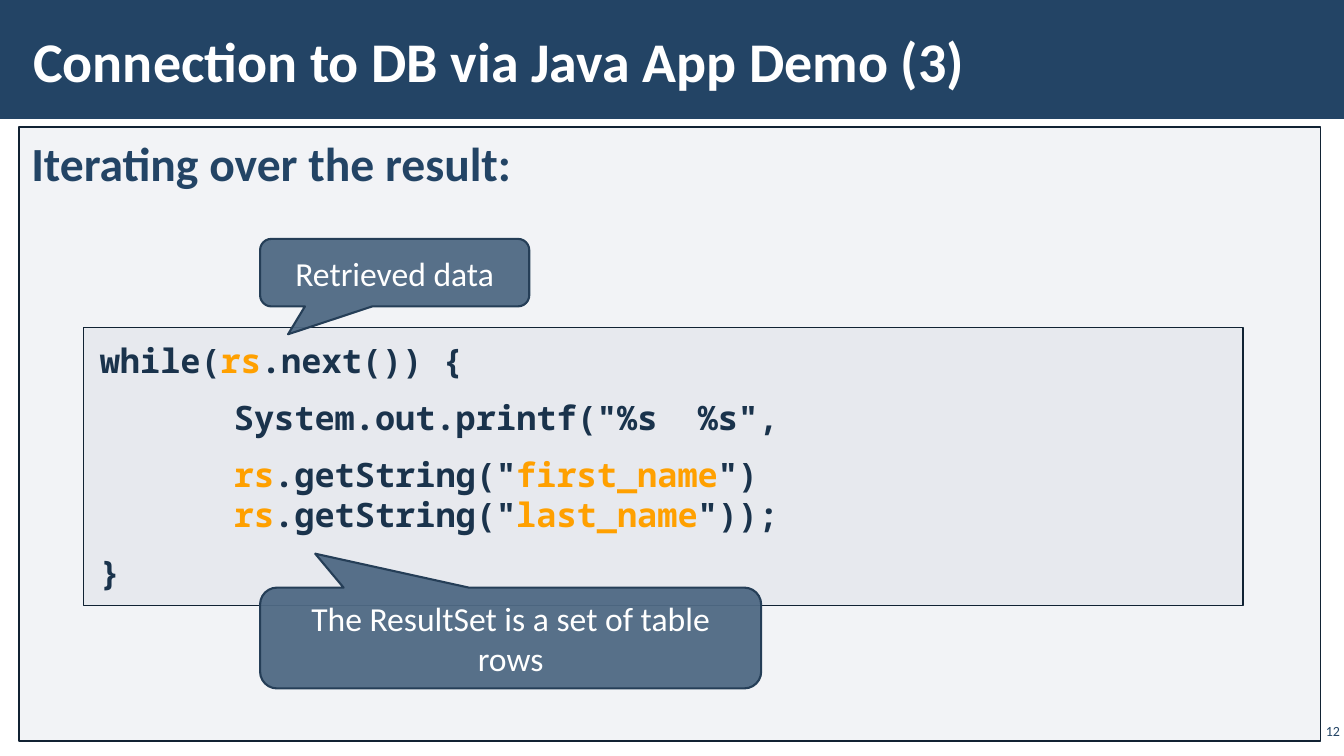
from pptx import Presentation
from pptx.dml.color import RGBColor
from pptx.enum import shapes, text
from pptx.oxml.ns import qn
from pptx.util import Inches, Pt
from lxml import etree

THEME = {
    "navy": "234465", "white": "FFFFFF", "pale": "ADB4C3", "edge": "112233",
    "code": "1A334C", "mark": "FFA000", "note": "4F6984", "rim": "253E57",
    "sans": "Calibri", "mono": "Noto Sans Mono",
    "title": 40, "head": 34, "body": 24, "small": 10,
}

TITLE = "Connection to DB via Java App Demo (3)"
HEAD = "Iterating over the result:"
PAGE = "12"
# Each paragraph is a list of lines, each line a list of (text, colour).
CODE = [
    [[("while(", "code"), ("rs", "mark"), (".next()) {", "code")]],
    [[('\tSystem.out.printf("%s  %s",', "code")]],
    [[("\t", "code"), ("rs", "mark"), ('.getString("', "code"),
      (name, "mark"), (end, "code")]
     for name, end in (("first_name", '")'), ("last_name", '"));'))],
    [[("}", "code")]],
]
NOTES = [
    ("Retrieved data", (2.58, 2.37, 2.67, 0.67), (-0.396, 0.913, 0.167)),
    ("The ResultSet is a set of table rows", (2.58, 5.83, 4.97, 1),
     (-0.39, -0.837, 0.167)),
]
KIND = shapes.MSO_SHAPE
MID, TOP = text.MSO_ANCHOR.MIDDLE, text.MSO_ANCHOR.TOP
LEFT, MEAN, RIGHT = (text.PP_ALIGN.LEFT, text.PP_ALIGN.CENTER,
                     text.PP_ALIGN.RIGHT)


def tint(name):
    return RGBColor.from_string(THEME[name])


def shape(slide, kind, at, fill, alpha=100, line=None, width=1):
    item = slide.shapes.add_shape(kind, *map(Inches, at))
    item.shadow.inherit = False
    item.fill.solid()
    item.fill.fore_color.rgb = tint(fill)
    if alpha < 100:
        color = item.fill._xPr.find(qn("a:solidFill"))[0]
        etree.SubElement(color, qn("a:alpha")).set("val", str(alpha * 1000))
    if line:
        item.line.color.rgb = tint(line)
        item.line.width = Pt(width)
    else:
        item.line.fill.background()
    return item


def box(slide, at):
    return slide.shapes.add_textbox(*map(Inches, at))


def write(item, paras, size, font="sans", bold=False, inset=(0.1, 0.05),
          anchor=MID, **form):
    """Fill a shape with paragraphs of lines of coloured runs."""
    frame = item.text_frame
    side, edge = map(Inches, inset)
    look = {"word_wrap": True, "vertical_anchor": anchor,
            "margin_left": side, "margin_right": side,
            "margin_top": edge, "margin_bottom": edge}
    for key, value in look.items():
        setattr(frame, key, value)
    for i, lines in enumerate(paras):
        para = frame.add_paragraph() if i else frame.paragraphs[0]
        for key, value in form.items():
            setattr(para, key, value)
        para._p.get_or_add_pPr().set("defTabSz", str(Inches(1.33)))
        for j, line in enumerate(lines):
            if j:
                para.add_line_break()
            for words, color in line:
                run = para.add_run()
                run.text = words
                run.font.color.rgb = tint(color)
                face = {"size": Pt(THEME[size]), "name": THEME[font],
                        "bold": bold}
                for key, value in face.items():
                    setattr(run.font, key, value)


def main():
    deck = Presentation()
    deck.slide_width, deck.slide_height = Inches(13.33), Inches(7.5)
    slide = deck.slides.add_slide(deck.slide_layouts[6])
    gap = {"space_before": Pt(6), "space_after": Pt(6), "alignment": LEFT}

    shape(slide, KIND.RECTANGLE, (0, -0.02, 13.33, 1.2), "navy")
    write(box(slide, (0.21, 0.11, 10.39, 0.97)), [[[(TITLE, "white")]]],
          "title", bold=True, inset=(0.12, 0.04))

    panel = shape(slide, KIND.RECTANGLE, (0.19, 1.26, 12.91, 6.09),
                  "pale", 15, "edge")
    write(panel, [[[(HEAD, "navy")]]], "head", bold=True,
          inset=(0.12, 0.04), anchor=TOP, line_spacing=1.05, **gap)
    write(box(slide, (12.86, 7.14, 0.47, 0.22)), [[[(PAGE, "navy")]]],
          "small", inset=(0.04, 0.04), alignment=RIGHT)

    code = shape(slide, KIND.RECTANGLE, (0.83, 3.25, 11.5, 2.76),
                 "pale", 15, "edge")
    write(code, CODE, "body", "mono", True, (0.16, 0.12), TOP, **gap)

    for words, at, bends in NOTES:
        note = shape(slide, KIND.ROUNDED_RECTANGULAR_CALLOUT, at,
                     "note", 95, "rim", 1.5)
        for i, bend in enumerate(bends):
            note.adjustments[i] = bend
        write(note, [[[(words, "white")]]], "body", alignment=MEAN)

    deck.save("out.pptx")


if __name__ == "__main__":
    main()
